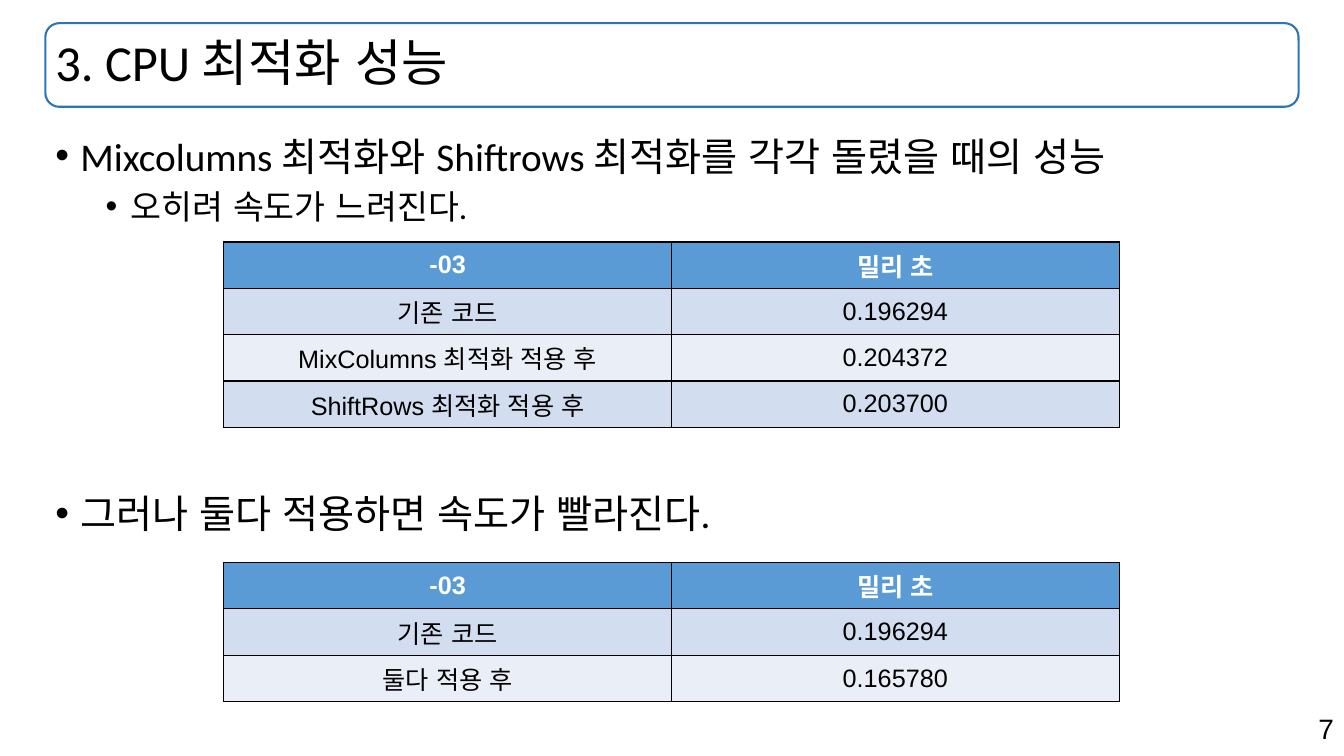
from dataclasses import dataclass

from lxml import etree
from pptx import Presentation
from pptx.dml.color import RGBColor
from pptx.enum.lang import MSO_LANGUAGE_ID
from pptx.enum.shapes import MSO_SHAPE
from pptx.enum.text import MSO_ANCHOR, MSO_AUTO_SIZE, PP_ALIGN
from pptx.oxml.ns import qn
from pptx.util import Pt

ROUND_RECT = MSO_SHAPE.ROUNDED_RECTANGLE
TOP, MIDDLE = MSO_ANCHOR.TOP, MSO_ANCHOR.MIDDLE
LEFT, CENTER, RIGHT = PP_ALIGN.LEFT, PP_ALIGN.CENTER, PP_ALIGN.RIGHT
NO_AUTOFIT = MSO_AUTO_SIZE.NONE
KOREAN = MSO_LANGUAGE_ID.KOREAN
TITLE_ONLY = 5
EMU_PER_PX = 9144  # 100 px to the inch


@dataclass(frozen=True)
class Theme:
    black: str = "000000"
    white: str = "FFFFFF"
    outline: str = "2E75B6"
    header: str = "5B9BD5"
    bands: tuple = ("D2DEEF", "EAEFF7")
    body_font: str = "Calibri"
    table_font: str = "Arial"
    title_size: int = 36
    bullet_size: int = 28
    sub_size: int = 24
    page_size: int = 20
    table_size: int = 18


THEME = Theme()
TITLE_BOX = (45, 23, 1243, 83)
HEADER = ("-03", "밀리 초")
BASELINE = ("기존 코드", "0.196294")


def px(n):
    return n * EMU_PER_PX


def rgb(color):
    return RGBColor.from_string(color)


def write(p, text, *, size, font=THEME.body_font, color=THEME.black,
          bold=False, align=LEFT, before=0, line=None):
    """Put formatted text into a paragraph."""
    p.alignment = align
    p.space_before = Pt(before)
    p.line_spacing = line
    r = p.add_run()
    r.text = text
    r.font.name = font
    r.font.size = Pt(size)
    r.font.bold = bold
    r.font.language_id = KOREAN
    r.font.color.rgb = rgb(color)


def add_bullet(p, level):
    p.level = level
    pPr = p._p.get_or_add_pPr()
    pPr.set("marL", str(px(25 + 50 * level)))
    pPr.set("indent", str(px(-25)))
    etree.SubElement(pPr, qn("a:buFont"), typeface="Arial")
    etree.SubElement(pPr, qn("a:buChar"), char="•")


def add_text_box(s, x, y, w, h):
    tf = s.shapes.add_textbox(px(x), px(y), px(w), px(h)).text_frame
    tf.word_wrap = True
    tf.vertical_anchor = TOP
    return tf


def add_bullets(s, x, y, w, h, items):
    """Stack (level, text) bullets in one box."""
    tf = add_text_box(s, x, y, w, h)
    for i, (level, text) in enumerate(items):
        p = tf.add_paragraph() if i else tf.paragraphs[0]
        add_bullet(p, level)
        before = (5 if level else 10) if i else 0
        write(p, text, before=before,
              size=THEME.sub_size if level else THEME.bullet_size)


def add_title(s, text):
    x, y, w, h = map(px, TITLE_BOX)
    frame = s.shapes.add_shape(ROUND_RECT, x, y, w, h)
    frame.shadow.inherit = False
    frame.fill.background()
    frame.line.color.rgb = rgb(THEME.outline)
    frame.line.width = Pt(1.5)

    title = s.shapes.title
    title.left, title.top, title.width, title.height = x, y, w, h
    tf = title.text_frame
    tf.word_wrap = True
    tf.auto_size = NO_AUTOFIT
    tf.vertical_anchor = MIDDLE
    write(tf.paragraphs[0], text, size=THEME.title_size, line=0.9)


def add_borders(cell):
    """Draw a thin black line on all four sides."""
    tcPr = cell._tc.get_or_add_tcPr()
    for i, side in enumerate("LRTB"):
        ln = etree.Element(qn(f"a:ln{side}"), w=str(Pt(1)))
        fill = etree.SubElement(ln, qn("a:solidFill"))
        etree.SubElement(fill, qn("a:srgbClr"), val=THEME.black)
        tcPr.insert(i, ln)


def add_timing_table(s, x, y, w, row_h, rows):
    rows = [HEADER, BASELINE, *rows]
    table = s.shapes.add_table(len(rows), len(HEADER), px(x), px(y), px(w),
                               px(row_h * len(rows))).table
    table.first_row = table.horz_banding = False
    for i, row in enumerate(rows):
        table.rows[i].height = px(row_h)
        is_header = i == 0
        fill = THEME.header if is_header else THEME.bands[(i - 1) % 2]
        for j, text in enumerate(row):
            cell = table.cell(i, j)
            cell.vertical_anchor = MIDDLE
            cell.fill.solid()
            cell.fill.fore_color.rgb = rgb(fill)
            add_borders(cell)
            write(cell.text_frame.paragraphs[0], text, align=CENTER,
                  size=THEME.table_size, font=THEME.table_font, bold=is_header,
                  color=THEME.white if is_header else THEME.black)


def add_page_number(s, number):
    tf = add_text_box(s, 943, 701, 390, 44)
    write(tf.paragraphs[0], number, size=THEME.page_size,
          font=THEME.table_font, align=RIGHT)


def main():
    prs = Presentation()
    prs.slide_width, prs.slide_height = px(1333), px(750)
    s = prs.slides.add_slide(prs.slide_layouts[TITLE_ONLY])

    add_title(s, "3. CPU 최적화 성능")

    # Each optimization on its own
    add_bullets(s, 45, 126, 1243, 110, [
        (0, "Mixcolumns 최적화와 Shiftrows 최적화를 각각 돌렸을 때의 성능"),
        (1, "오히려 속도가 느려진다."),
    ])
    add_timing_table(s, 222, 240, 888, 46, [
        ("MixColumns 최적화 적용 후", "0.204372"),
        ("ShiftRows 최적화 적용 후", "0.203700"),
    ])

    # Both optimizations together
    add_bullets(s, 45, 481, 1243, 60,
                [(0, "그러나 둘다 적용하면 속도가 빨라진다.")])
    add_timing_table(s, 222, 558, 888, 46, [("둘다 적용 후", "0.165780")])

    add_page_number(s, "7")
    prs.save("out.pptx")


if __name__ == "__main__":
    main()
